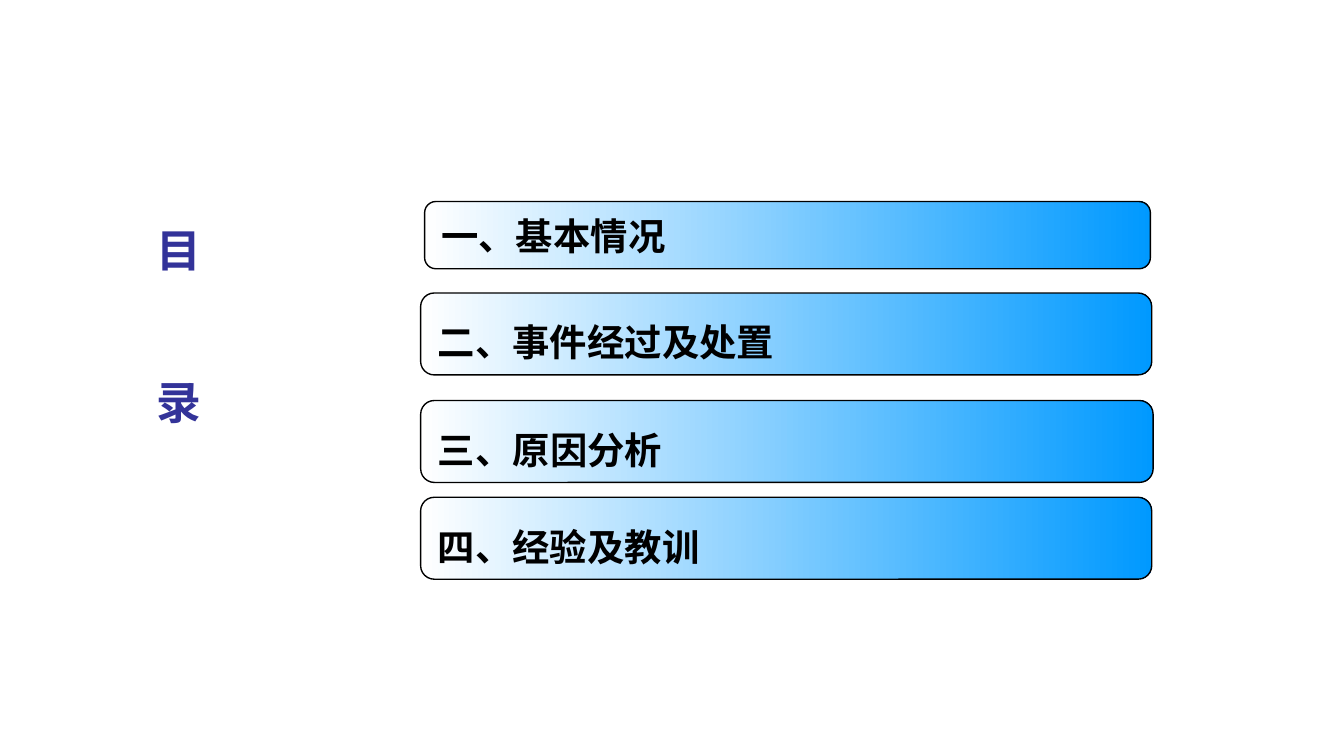
"""Build a contents slide with a vertical heading and four gradient bars."""
from dataclasses import dataclass

from lxml import etree
from pptx import Presentation
from pptx.dml.color import RGBColor
from pptx.enum.shapes import MSO_SHAPE
from pptx.enum.text import MSO_ANCHOR, MSO_AUTO_SIZE, PP_ALIGN
from pptx.oxml.ns import qn
from pptx.util import Inches, Pt

ROUNDED = MSO_SHAPE.ROUNDED_RECTANGLE
TOP, MIDDLE = MSO_ANCHOR.TOP, MSO_ANCHOR.MIDDLE
CENTER, JUSTIFY = PP_ALIGN.CENTER, PP_ALIGN.JUSTIFY
NO_AUTOFIT = MSO_AUTO_SIZE.NONE


@dataclass
class Theme:
    font: str = "Noto Sans CJK SC"
    heading: RGBColor = RGBColor(0x33, 0x33, 0x99)
    text: RGBColor = RGBColor(0, 0, 0)
    outline: RGBColor = RGBColor(0, 0, 0)
    fade_from: RGBColor = RGBColor(0xFF, 0xFF, 0xFF)
    fade_to: RGBColor = RGBColor(0x00, 0x99, 0xFF)
    heading_size: Pt = Pt(24)
    text_size: Pt = Pt(20)


theme = Theme()


def add_text(p, text, size, color):
    r = p.add_run()
    r.text = text
    r.font.size = size
    r.font.bold = True
    r.font.color.rgb = color
    r.font.name = theme.font
    etree.SubElement(r.font._element, qn("a:ea"), typeface=theme.font)


prs = Presentation()
prs.slide_width, prs.slide_height = Inches(10), Inches(10 * 9 / 16)
s = prs.slides.add_slide(prs.slide_layouts[5])

title = s.shapes.title
title.left, title.top = Inches(0.9), Inches(1.61)
title.width, title.height = Inches(0.87), Inches(2.13)
tf = title.text_frame
tf.auto_size = NO_AUTOFIT
tf.word_wrap = False
tf.vertical_anchor = TOP
for i, char in enumerate("目录"):
    p = tf.add_paragraph() if i else tf.paragraphs[0]
    p.alignment = CENTER
    p.space_before = Pt(52.5 if i else 0)
    add_text(p, char, theme.heading_size, theme.heading)

bars = [
    ("一、基本情况", 3.16, 1.5, 5.4, 0.5, 1.0),
    ("二、事件经过及处置", 3.13, 2.18, 5.44, 0.61, 1.35),
    ("三、原因分析", 3.13, 2.98, 5.45, 0.61, 1.35),
    ("四、经验及教训", 3.13, 3.7, 5.44, 0.61, 1.35),
]
for text, left, top, width, height, spacing in bars:
    sp = s.shapes.add_shape(ROUNDED, Inches(left), Inches(top), Inches(width), Inches(height))
    sp.shadow.inherit = False
    sp.fill.gradient()
    sp.fill.gradient_angle = 0
    for stop, color in zip(sp.fill.gradient_stops, (theme.fade_from, theme.fade_to)):
        stop.color.rgb = color
    sp.line.color.rgb = theme.outline
    sp.line.width = Pt(0.75)
    tf = sp.text_frame
    tf.word_wrap = True
    tf.vertical_anchor = MIDDLE
    p = tf.paragraphs[0]
    p.alignment = JUSTIFY
    p.line_spacing = spacing
    add_text(p, text, theme.text_size, theme.text)

prs.save("out.pptx")
